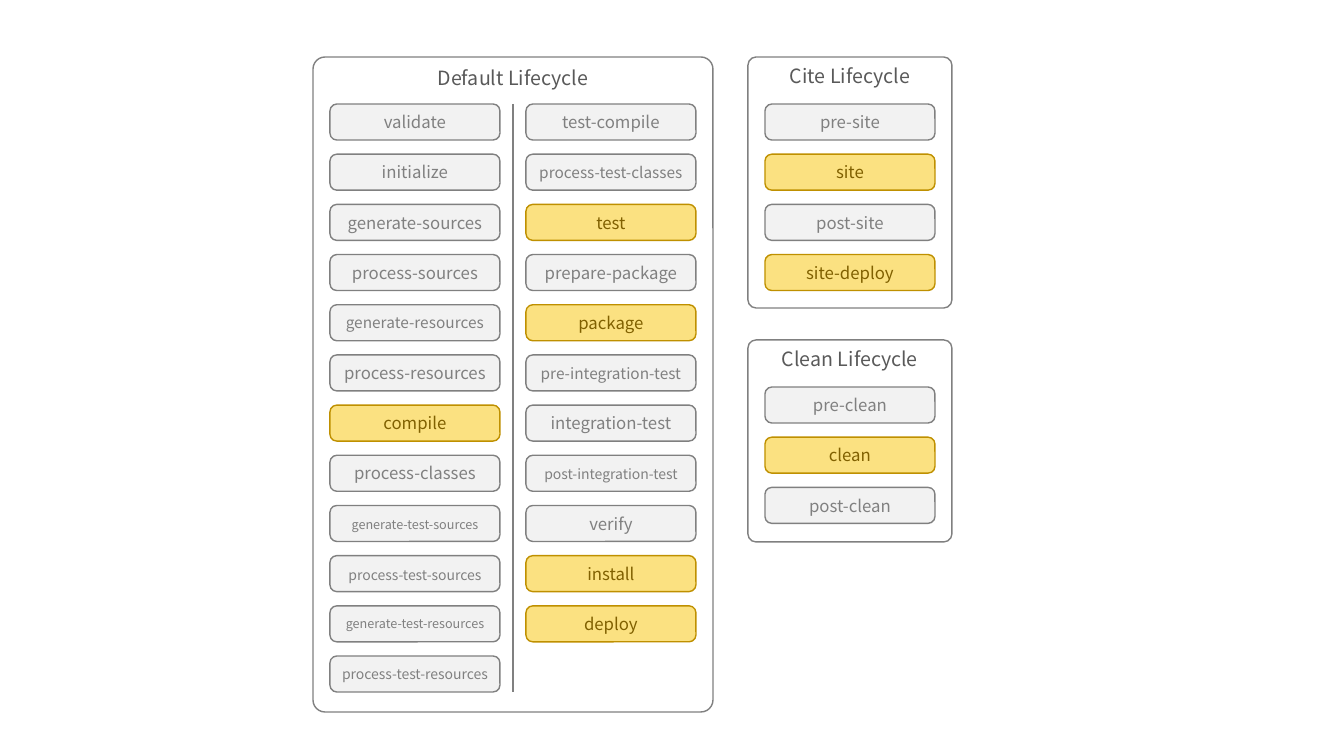
from pptx import Presentation
from pptx import util as u
from pptx.dml.color import RGBColor
from pptx.enum import shapes, text
from pptx.oxml import parse_xml
from pptx.oxml.ns import nsdecls

PIXEL = 914400 / 100.8
FONT = "Noto Sans CJK KR"
COLORS = {
    "panel": "FFFFFF", "title": "595959", "line": "808080",
    "phase": "F2F2F2", "phase_text": "808080",
    "key": "FBE181", "key_line": "BF9000", "key_text": "806000",
}
KEY_PHASES = {"compile", "test", "package", "install", "deploy",
              "site", "site-deploy", "clean"}
SMALL_SIZES = {
    "generate-resources": 11, "generate-test-sources": 10.5,
    "process-test-sources": 11, "generate-test-resources": 9,
    "process-test-resources": 10, "process-test-classes": 11,
    "pre-integration-test": 11, "post-integration-test": 11,
}
DEFAULT_COLUMNS = [
    ["validate", "initialize", "generate-sources", "process-sources",
     "generate-resources", "process-resources", "compile", "process-classes",
     "generate-test-sources", "process-test-sources",
     "generate-test-resources", "process-test-resources"],
    ["test-compile", "process-test-classes", "test", "prepare-package",
     "package", "pre-integration-test", "integration-test",
     "post-integration-test", "verify", "install", "deploy"],
]
CITE_COLUMNS = [["pre-site", "site", "post-site", "site-deploy"]]
CLEAN_COLUMNS = [["pre-clean", "clean", "post-clean"]]
PHASE_WIDTH, PHASE_HEIGHT = 170, 36
COLUMN_PITCH, ROW_PITCH = 196, 552 / 11
SIDE_MARGIN, TITLE_HEIGHT = 17, 47


def px(value):
    return u.Emu(round(value * PIXEL))


def color(name):
    return RGBColor.from_string(COLORS[name])


def write_text(shape, content, size, ink, anchor, fit=False):
    frame = shape.text_frame
    frame.word_wrap = True
    frame.vertical_anchor = anchor
    if fit:
        frame.auto_size = text.MSO_AUTO_SIZE.TEXT_TO_FIT_SHAPE
    paragraph = frame.paragraphs[0]
    paragraph.alignment = text.PP_ALIGN.CENTER
    run = paragraph.add_run()
    run.text = content
    run.font.size = u.Pt(size)
    run.font.name = FONT
    run.font.color.rgb = color(ink)


def add_rounded_box(slide, left, top, width, height, corner, fill, line):
    shape = slide.shapes.add_shape(
        shapes.MSO_SHAPE.ROUNDED_RECTANGLE,
        px(left), px(top), px(width), px(height))
    shape.adjustments[0] = corner
    shape.shadow.inherit = False
    shape.fill.solid()
    shape.fill.fore_color.rgb = color(fill)
    shape.line.color.rgb = color(line)
    shape.line.width = u.Pt(1)
    return shape


def add_phase(slide, name, left, top):
    is_key = name in KEY_PHASES
    shape = add_rounded_box(
        slide, left, top, PHASE_WIDTH, PHASE_HEIGHT, 0.19,
        "key" if is_key else "phase", "key_line" if is_key else "line")
    write_text(shape, name, size=SMALL_SIZES.get(name, 12),
               ink="key_text" if is_key else "phase_text",
               anchor=text.MSO_ANCHOR.MIDDLE, fit=True)


def add_lifecycle(slide, title, columns, left, top, width, height, corner):
    panel = add_rounded_box(slide, left, top, width, height, corner,
                            "panel", "line")
    write_text(panel, title, size=14, ink="title", anchor=text.MSO_ANCHOR.TOP)
    for column, names in enumerate(columns):
        for row, name in enumerate(names):
            add_phase(slide, name, left + SIDE_MARGIN + column * COLUMN_PITCH,
                      top + TITLE_HEIGHT + row * ROW_PITCH)


def add_divider(slide, x, top, bottom):
    divider = slide.shapes.add_connector(
        shapes.MSO_CONNECTOR.STRAIGHT, px(x), px(top), px(x), px(bottom))
    divider.line.color.rgb = color("line")
    divider.line.width = u.Pt(1)
    divider._element.spPr.append(
        parse_xml("<a:effectLst %s/>" % nsdecls("a")))


def main():
    presentation = Presentation()
    presentation.slide_width = px(1344)
    presentation.slide_height = px(756)
    slide = presentation.slides.add_slide(presentation.slide_layouts[6])
    add_lifecycle(slide, "Clean Lifecycle", CLEAN_COLUMNS,
                  748, 340, 204, 202, 0.04)
    add_lifecycle(slide, "Default Lifecycle", DEFAULT_COLUMNS,
                  313, 57, 400, 655, 0.03)
    add_divider(slide, 513, 104, 692)
    add_lifecycle(slide, "Cite Lifecycle", CITE_COLUMNS,
                  748, 57, 204, 251, 0.04)
    presentation.save("out.pptx")


main()
